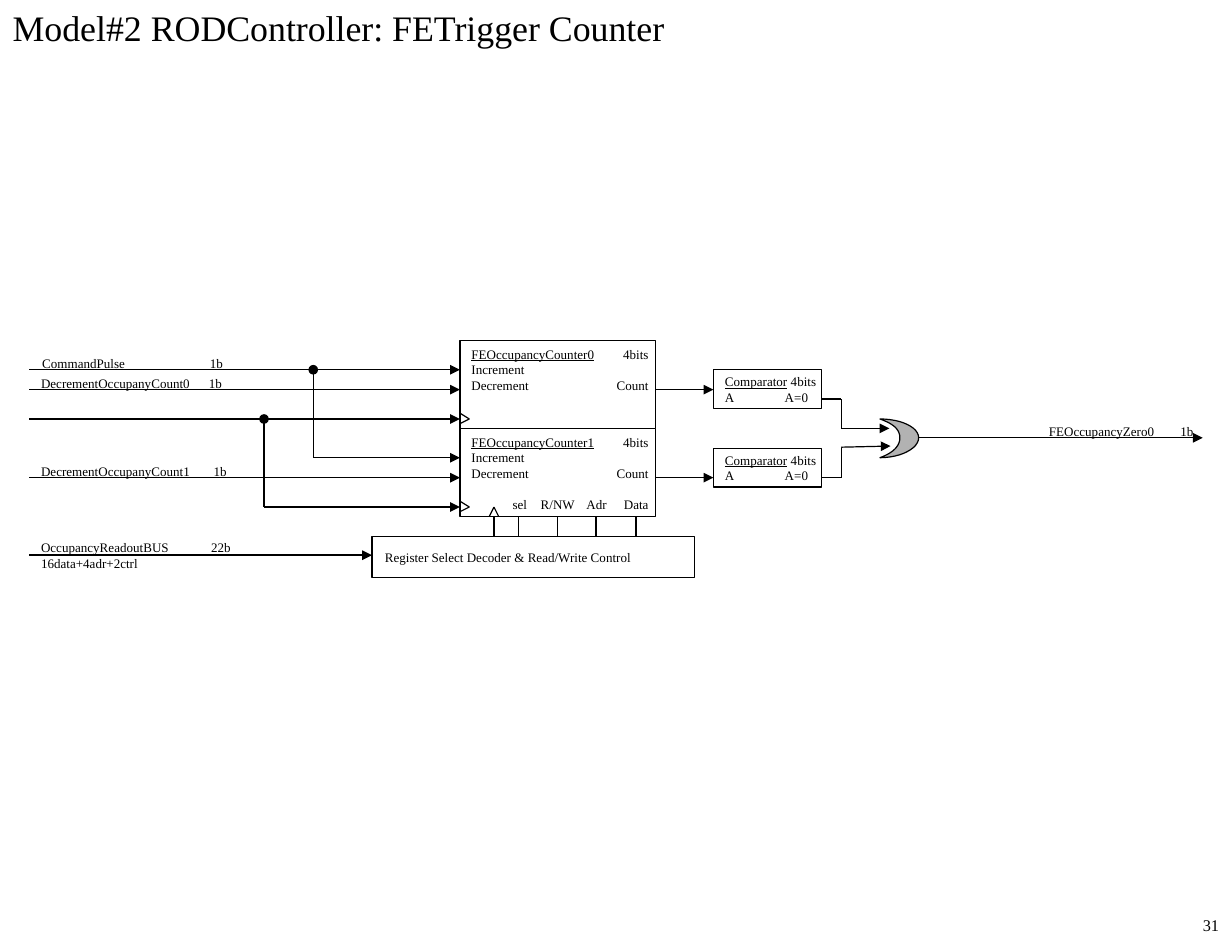
"""Build the FETrigger Counter block diagram slide."""
from pptx import Presentation, util as u
from pptx.dml.color import RGBColor
from pptx.enum import shapes, text
from pptx.oxml.ns import qn
from lxml import etree

COLORS = {"ink": "000000", "paper": "FFFFFF", "gate": "B2B2B2"}
FONT = "Times New Roman"
TITLE = "Model#2 RODController: FETrigger Counter"
PAGE = "31"
CHANNELS = [3.15, 3.9]
PITCH = 0.75
COUNTER_X, COUNTER_W = 3.92, 1.67
COUNTER_TABS = [(1.51, "r")]
PORT_TABS = [(0.35, "l"), (0.59, "l"), (0.98, "l"), (1.51, "r")]
PORTS = "\tsel\tR/NW\tAdr\tData"
COUNTERS = ["FEOccupancyCounter0", "FEOccupancyCounter1"]
COMPARATORS = [3.15, 3.82]
DECODER = "Register Select Decoder & Read/Write Control"
LABELS = [
    (0.25, 2.98, 1.76, 1.43, ["CommandPulse\t1b"]),
    (0.24, 3.15, 1.76, 1.43, ["DecrementOccupanyCount0\t1b"]),
    (0.24, 3.90, 1.79, 1.47, ["DecrementOccupanyCount1\t1b"]),
    (0.24, 4.55, 1.83, 1.45, ["OccupancyReadoutBUS\t22b", "16data+4adr+2ctrl"]),
    (8.83, 3.56, 1.45, 1.12, ["FEOccupancyZero0\t1b"]),
]
ARROWS = [
    (0.25, 3.32, 3.92, 3.32), (0.25, 4.07, 3.92, 4.07),
    (2.67, 3.9, 3.92, 3.9), (0.25, 3.57, 3.92, 3.57),
    (2.25, 4.32, 3.92, 4.32), (5.58, 3.32, 6.08, 3.32),
    (5.58, 4.07, 6.08, 4.07), (7.17, 3.65, 7.58, 3.65),
    (7.17, 3.81, 7.59, 3.8), (7.83, 3.73, 10.25, 3.73),
]
WIRES = [
    (0.25, 3.15, 2.67, 3.15), (2.67, 3.15, 2.67, 3.9),
    (7, 3.4, 7.17, 3.4), (7.17, 3.4, 7.17, 3.65),
    (7, 4.07, 7.17, 4.07), (7.17, 4.07, 7.17, 3.82),
]
BUS_PINS = [4.21, 4.42, 4.75, 5.08, 5.42]
GATE_START = (7.5, 3.57)
GATE_CURVES = [
    [(7.58, 3.6), (7.67, 3.64), (7.67, 3.73)],
    [(7.67, 3.82), (7.58, 3.87), (7.5, 3.9)],
    [(7.68, 3.9), (7.83, 3.82), (7.83, 3.73)],
    [(7.83, 3.64), (7.68, 3.57), (7.5, 3.57)],
]


def rgb(name):
    return RGBColor.from_string(COLORS[name])


def write(sp, lines, size=8, inset=0.1, right=0, tabs=(), wrap=True,
          anchor=text.MSO_ANCHOR.TOP, align=text.PP_ALIGN.LEFT, underline=""):
    tf = sp.text_frame
    tf.word_wrap, tf.vertical_anchor = wrap, anchor
    tf.margin_left, tf.margin_right = u.Inches(inset), u.Inches(right)
    tf.margin_top = tf.margin_bottom = u.Inches(0.05)
    for i, line in enumerate(lines):
        p = tf.paragraphs[0] if i == 0 else tf.add_paragraph()
        p.alignment = align
        stops = PORT_TABS if line == PORTS else tabs
        if stops:
            tab_list = etree.SubElement(p._p.get_or_add_pPr(), qn("a:tabLst"))
            for pos, kind in stops:
                etree.SubElement(tab_list, qn("a:tab"), pos=str(u.Inches(pos)), algn=kind)
        if line == PORTS:
            p.space_before = u.Pt(9.2)
        marked = underline if underline and line.startswith(underline) else ""
        for part, under in ((marked, True), (line[len(marked):], False)):
            if part:
                r = p.add_run()
                r.text = part
                r.font.name, r.font.size, r.font.underline = FONT, u.Pt(size), under
                r.font.color.rgb = rgb("ink")


def style(sp, fill=None):
    sp.shadow.inherit = False
    if fill:
        sp.fill.solid()
        sp.fill.fore_color.rgb = rgb(fill)
    else:
        sp.fill.background()
    sp.line.color.rgb, sp.line.width = rgb("ink"), u.Pt(0.75)


def block(s, x, y, w, h, lines, fill=None, **fmt):
    sp = s.shapes.add_shape(shapes.MSO_SHAPE.RECTANGLE, *map(u.Inches, (x, y, w, h)))
    style(sp, fill)
    write(sp, lines, **fmt)


def label(s, x, y, w, h, lines, **fmt):
    write(s.shapes.add_textbox(*map(u.Inches, (x, y, w, h))), lines, **fmt)


def wire(s, ends, head=None, tail=None, width=0.75):
    c = s.shapes.add_connector(shapes.MSO_CONNECTOR.STRAIGHT, *map(u.Inches, ends))
    c.line.color.rgb, c.line.width = rgb("ink"), u.Pt(width)
    ln = c.line._get_or_add_ln()
    for tag, kind in (("a:headEnd", head), ("a:tailEnd", tail)):
        if kind:
            etree.SubElement(ln, qn(tag), type=kind)
    etree.SubElement(c._element.spPr, qn("a:effectLst"))


def bezier(points, steps=12):
    for i in range(1, steps + 1):
        t = i / steps
        weights = ((1 - t) ** 3, 3 * t * (1 - t) ** 2, 3 * t * t * (1 - t), t ** 3)
        yield tuple(u.Inches(sum(k * v for k, v in zip(weights, axis))) for axis in zip(*points))


def or_gate(s):
    outline, start = [], GATE_START
    for curve in GATE_CURVES:
        outline.extend(bezier([start, *curve]))
        start = curve[-1]
    fb = s.shapes.build_freeform(*map(u.Inches, GATE_START))
    fb.add_line_segments(outline, close=True)
    style(fb.convert_to_shape(), "gate")


def main():
    prs = Presentation()
    prs.slide_width, prs.slide_height = u.Inches(10.5), u.Inches(8)
    s = prs.slides.add_slide(prs.slide_layouts[6])
    middle = text.MSO_ANCHOR.MIDDLE

    label(s, 0.01, 0, 5.76, 0.47, [TITLE], size=22, wrap=False)
    for ends in ARROWS:
        wire(s, ends, tail="triangle")
    for ends in WIRES:
        wire(s, ends)
    wire(s, (2.67, 3.15, 3.92, 3.15), head="oval", tail="triangle")
    wire(s, (2.25, 3.57, 2.25, 4.32), head="oval")
    wire(s, (0.25, 4.73, 3.17, 4.73), tail="triangle", width=1.5)
    for x in BUS_PINS:
        wire(s, (x, 4.4, x, 4.57))

    for i, name in enumerate(COUNTERS):
        y = 2.9 + i * PITCH
        lines = [name + "\t4bits", "Increment", "Decrement\tCount"]
        if name == COUNTERS[-1]:
            lines.append(PORTS)
        block(s, COUNTER_X, y, COUNTER_W, PITCH, lines, "paper",
              tabs=COUNTER_TABS, underline=name)
        wire(s, (3.92, y + 0.62, 4, y + 0.67))
        wire(s, (4, y + 0.67, 3.92, y + 0.71))
    wire(s, (4.17, 4.4, 4.21, 4.32))
    wire(s, (4.21, 4.32, 4.25, 4.4))

    for y in COMPARATORS:
        block(s, 6.08, y, 0.92, 0.33, ["Comparator 4bits", "A\tA=0"],
              tabs=[(0.51, "l")], underline="Comparator", anchor=middle)
    block(s, 3.17, 4.57, 2.75, 0.35, [DECODER], inset=0.11, anchor=middle)
    or_gate(s)

    for x, y, w, tab, lines in LABELS:
        label(s, x, y, w, 0.11 + 0.13 * len(lines), lines, inset=0.11, tabs=[(tab, "l")])
    label(s, 9.17, 7.75, 1.33, 0.25, [PAGE], size=10, inset=0.11, right=0.11,
          align=text.PP_ALIGN.RIGHT)
    prs.save("out.pptx")


if __name__ == "__main__":
    main()
